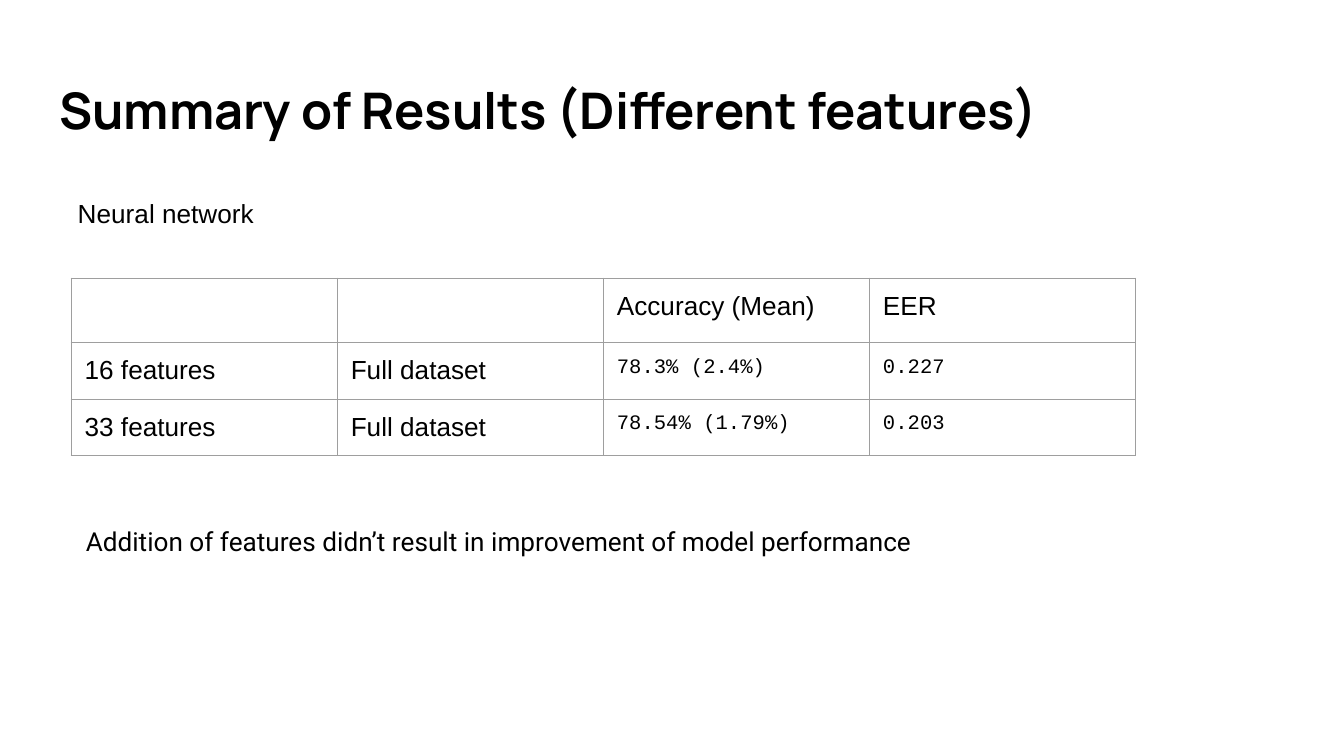
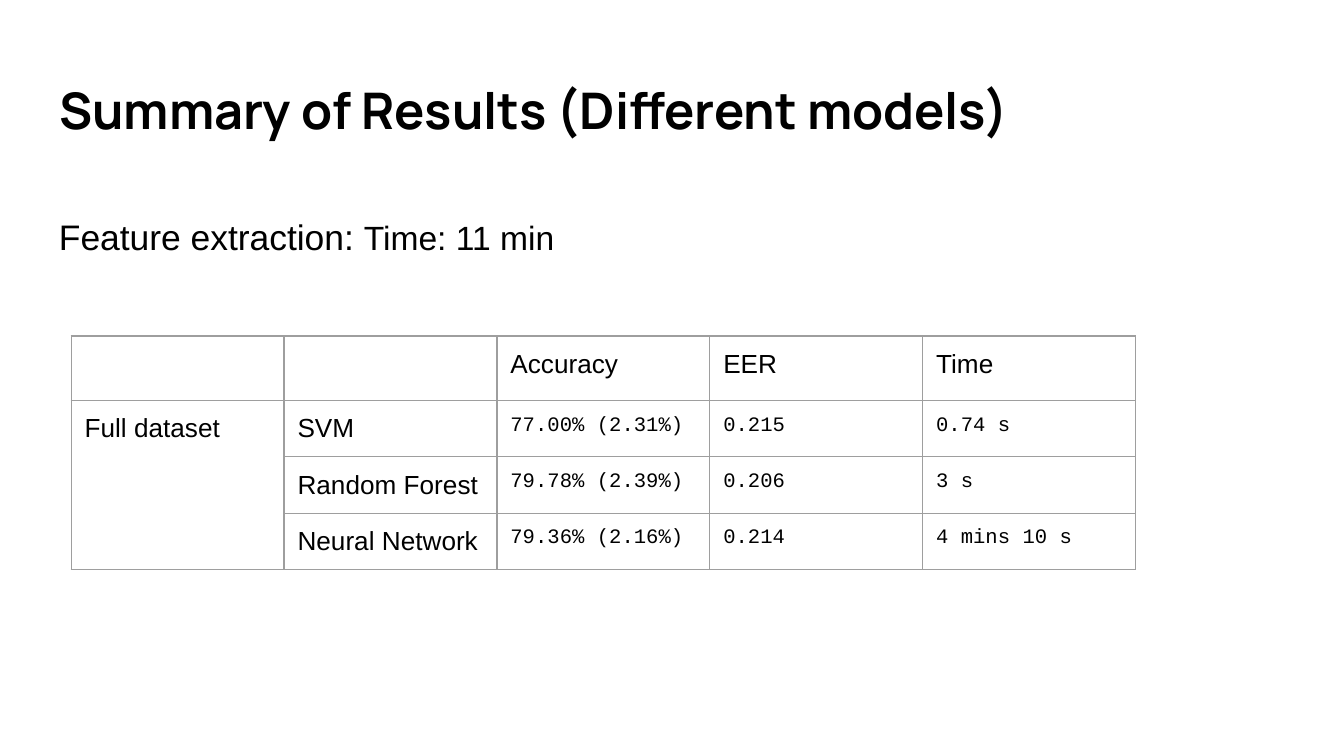
from dataclasses import dataclass

from lxml import etree
from pptx import Presentation
from pptx.dml.color import RGBColor
from pptx.enum.text import MSO_ANCHOR, MSO_AUTO_SIZE, PP_ALIGN
from pptx.oxml.ns import qn
from pptx.util import Inches, Pt

TOP = MSO_ANCHOR.TOP
LEFT = PP_ALIGN.LEFT
NO_AUTOFIT = MSO_AUTO_SIZE.NONE
GROW = MSO_AUTO_SIZE.SHAPE_TO_FIT_TEXT
TITLE_ONLY = 5

# Widescreen page, 16:9
SLIDE_WIDTH = 10
SLIDE_HEIGHT = SLIDE_WIDTH * 9 / 16


@dataclass(frozen=True)
class Theme:
    background: str = "FFFFFF"
    text: str = "000000"
    border: str = "9E9E9E"
    border_width: float = 0.75
    title_font: str = "Manrope"
    body_font: str = "Arial"
    note_font: str = "Roboto"
    value_font: str = "Courier New"
    title_size: int = 27
    lead_size: int = 19
    lead_detail_size: int = 18
    body_size: int = 14
    value_size: int = 11
    inset: float = 0.1


THEME = Theme()

# Shared table geometry
TABLE_LEFT, TABLE_WIDTH = 0.53, 7.92
HEADER_HEIGHT, ROW_HEIGHT = 0.48, 0.42
LABEL_COLUMNS = 2


def style_font(font, name, size, bold=False):
    font.name = name
    font.size = Pt(size)
    font.bold = bold
    font.color.rgb = RGBColor.from_string(THEME.text)


def set_margins(target):
    """Apply the common inset to a text frame or a table cell."""
    target.margin_left = target.margin_right = Inches(THEME.inset)
    target.margin_top = target.margin_bottom = Inches(THEME.inset)


def add_titled_slide(presentation, title):
    slide = presentation.slides.add_slide(presentation.slide_layouts[TITLE_ONLY])
    slide.background.fill.solid()
    slide.background.fill.fore_color.rgb = RGBColor.from_string(THEME.background)
    shape = slide.shapes.title
    shape.left, shape.top = Inches(0.34), Inches(0.49)
    shape.width, shape.height = Inches(9.32), Inches(0.68)
    frame = shape.text_frame
    frame.text = title
    frame.vertical_anchor = TOP
    frame.auto_size = NO_AUTOFIT
    set_margins(frame)
    paragraph = frame.paragraphs[0]
    paragraph.alignment = LEFT
    style_font(paragraph.font, THEME.title_font, THEME.title_size, bold=True)
    return slide


def add_text(slide, left, top, width, height, runs, font_name):
    """Add a one-line text box from (text, size) runs."""
    box = slide.shapes.add_textbox(
        Inches(left), Inches(top), Inches(width), Inches(height))
    frame = box.text_frame
    frame.word_wrap = True
    frame.auto_size = GROW
    set_margins(frame)
    paragraph = frame.paragraphs[0]
    style_font(paragraph.font, font_name, runs[0][1])
    for text, size in runs:
        run = paragraph.add_run()
        run.text = text
        if size != runs[0][1]:
            run.font.size = Pt(size)


def set_borders(cell):
    properties = cell._tc.get_or_add_tcPr()
    for position, side in enumerate(("lnL", "lnR", "lnT", "lnB")):
        line = etree.Element(qn(f"a:{side}"), w=str(Pt(THEME.border_width)))
        fill = etree.SubElement(line, qn("a:solidFill"))
        etree.SubElement(fill, qn("a:srgbClr"), val=THEME.border)
        properties.insert(position, line)


def format_cell(cell, text, is_value):
    cell.text = text
    cell.fill.background()
    cell.vertical_anchor = TOP
    set_margins(cell)
    name, size = ((THEME.value_font, THEME.value_size) if is_value
                  else (THEME.body_font, THEME.body_size))
    style_font(cell.text_frame.paragraphs[0].font, name, size)
    set_borders(cell)


def add_results_table(slide, top, rows):
    """Add a grid of equal columns: label columns first, then values."""
    column_count = len(rows[0])
    height = HEADER_HEIGHT + ROW_HEIGHT * (len(rows) - 1)
    table = slide.shapes.add_table(
        len(rows), column_count, Inches(TABLE_LEFT), Inches(top),
        Inches(TABLE_WIDTH), Inches(height)).table
    table.first_row = table.horz_banding = False
    for column in table.columns:
        column.width = Inches(TABLE_WIDTH / column_count)
    for row_index, row in enumerate(rows):
        table.rows[row_index].height = Inches(ROW_HEIGHT if row_index else HEADER_HEIGHT)
        for column_index, text in enumerate(row):
            is_value = row_index > 0 and column_index >= LABEL_COLUMNS
            format_cell(table.cell(row_index, column_index), text, is_value)
    return table


def build_features_slide(presentation):
    slide = add_titled_slide(presentation, "Summary of Results (Different features)")
    add_results_table(slide, 2.07, [
        ("", "", "Accuracy (Mean)", "EER"),
        ("16 features", "Full dataset", "78.3% (2.4%)", "0.227"),
        ("33 features", "Full dataset", "78.54% (1.79%)", "0.203"),
    ])
    add_text(slide, 0.48, 1.37, 8.88, 0.44,
             [("Neural network", THEME.body_size)], THEME.body_font)
    add_text(slide, 0.54, 3.81, 8.76, 0.44,
             [("Addition of features didn’t result in improvement of model performance",
               THEME.body_size)], THEME.note_font)


def build_models_slide(presentation):
    slide = add_titled_slide(presentation, "Summary of Results (Different models)")
    table = add_results_table(slide, 2.5, [
        ("", "", "Accuracy", "EER", "Time"),
        ("Full dataset", "SVM", "77.00% (2.31%)", "0.215", "0.74 s"),
        ("", "Random Forest", "79.78% (2.39%)", "0.206", "3 s"),
        ("", "Neural Network", "79.36% (2.16%)", "0.214", "4 mins 10 s"),
    ])
    # The dataset label spans all model rows
    table.cell(1, 0).merge(table.cell(3, 0))
    add_text(slide, 0.34, 1.5, 7.98, 0.52,
             [("Feature extraction: ", THEME.lead_size),
              ("Time: 11 min", THEME.lead_detail_size)], THEME.body_font)


def main():
    presentation = Presentation()
    presentation.slide_width = Inches(SLIDE_WIDTH)
    presentation.slide_height = Inches(SLIDE_HEIGHT)
    build_features_slide(presentation)
    build_models_slide(presentation)
    presentation.save("out.pptx")


if __name__ == "__main__":
    main()
